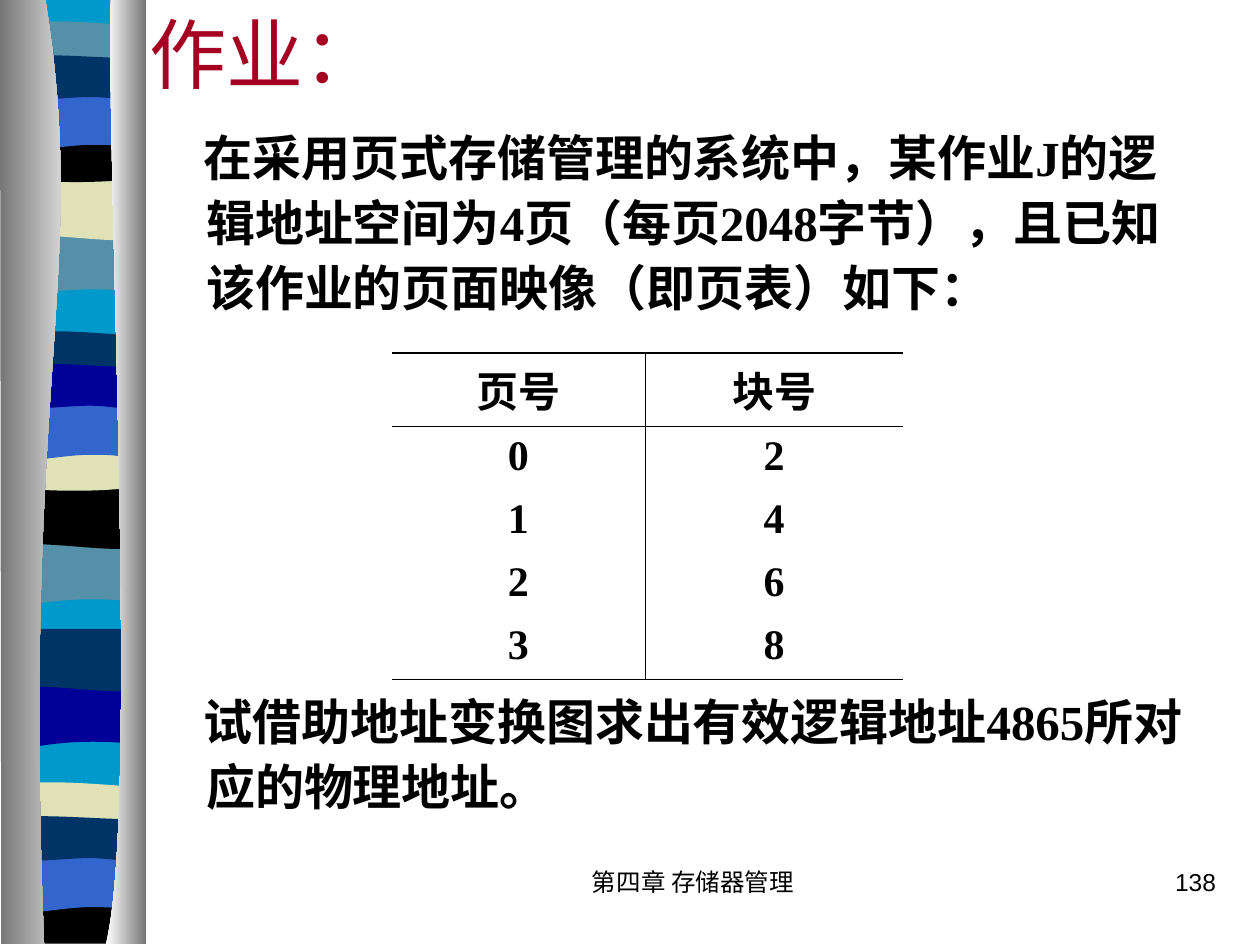
from lxml import etree
from pptx import Presentation
from pptx.dml.color import RGBColor
from pptx.enum.text import MSO_ANCHOR, MSO_AUTO_SIZE, PP_ALIGN
from pptx.oxml.ns import qn
from pptx.util import Inches, Pt

LEFT, CENTER, RIGHT = PP_ALIGN.LEFT, PP_ALIGN.CENTER, PP_ALIGN.RIGHT
TOP, MIDDLE = MSO_ANCHOR.TOP, MSO_ANCHOR.MIDDLE
NO_AUTOFIT = MSO_AUTO_SIZE.NONE

THEME = {
    "serif": "Times New Roman", "sans": "Arial",
    "title": 44, "body": 28, "table": 24, "footer": 14,
    "heading": "A50021", "text": "000000", "paper": "FFFFFF", "shade": "767676",
    "sky": "0099CC", "teal": "5490A8", "sand": "E1E1B7", "black": "000000",
    "blue": "3366CC", "navy": "003366", "indigo": "000099",
}

prs = Presentation()
prs.slide_width, prs.slide_height = Inches(10), Inches(7.5)
CELL = prs.slide_width / 120
FINE = prs.slide_width / 1000
slide = prs.slides.add_slide(prs.slide_layouts[1])
shapes = slide.shapes


def draw_outline(outline, left, top):
    points = [((left + step[i]) * FINE, (top + step[i + 1]) * FINE)
              for step in outline for i in range(0, len(step), 2)]
    builder = shapes.build_freeform(*points[0])
    builder.add_line_segments(points[1:], close=True)
    band = builder.convert_to_shape()
    segments = iter(list(band._element.iter(qn("a:lnTo"))))
    for step in outline[1:]:
        segment = next(segments)
        if len(step) == 6:
            segment.tag = qn("a:cubicBezTo")
            for follower in (next(segments), next(segments)):
                segment.append(follower[0])
                follower.getparent().remove(follower)
    band.shadow.inherit = False
    band.line.fill.background()
    return band


def style_text(paragraph, size, align, font="serif", color="text", bold=False):
    paragraph.alignment = align
    paragraph.space_before = Pt(0)
    for run in paragraph.runs:
        run.font.name = THEME[font]
        run.font.size = Pt(THEME[size])
        run.font.bold = bold
        run.font.color.rgb = RGBColor.from_string(THEME[color])


OUTLINES = {
    "backdrop": [(108, 0), (108, 747), (0, 747), (0, 0)],
    "slope": [(108, 0), (108, 47), (33, 39, 18, 55, 0, 47), (0, 0)],
    "dip": [(108, 0), (108, 47), (90, 55, 33, 42, 0, 47), (0, 0)],
    "lens": [(108, 5), (108, 29), (90, 33, 18, 33, 0, 29), (0, 5),
             (6, 0, 23, 1, 41, 1), (59, 1, 94, 4, 108, 5)],
    "cup": [(108, 0), (108, 32), (90, 38, 18, 38, 0, 32), (0, 0), (66, 5, 85, 0, 108, 0)],
    "arch": [(108, 0), (108, 47), (91, 41, 84, 41, 66, 41), (48, 41, 16, 47, 0, 47), (0, 0)],
    "ribbon": [(108, 5), (108, 36), (101, 41, 84, 36, 66, 36), (48, 36, 11, 41, 0, 36),
               (0, 5), (15, 0, 73, 5, 91, 5), (109, 5, 104, 5, 108, 5)],
    "foot": [(108, 0), (108, 37), (0, 37), (0, 0), (66, 5, 85, 0, 108, 0)],
}
BANDS = [
    ("backdrop", "sky", 6, 0),
    ("slope", "teal", 6, 185), ("dip", "sand", 6, 141), ("lens", "teal", 6, 16),
    ("cup", "black", 6, 108), ("arch", "blue", 6, 74), ("ribbon", "navy", 6, 41),
    ("slope", "teal", 5, 431), ("dip", "black", 5, 386), ("lens", "navy", 5, 262),
    ("cup", "sand", 5, 353), ("arch", "blue", 5, 320), ("ribbon", "indigo", 5, 286),
    ("slope", "indigo", 6, 544), ("dip", "navy", 6, 499), ("lens", "sand", 5, 620),
    ("foot", "black", 5, 712), ("arch", "blue", 5, 679), ("ribbon", "navy", 5, 645),
]
for outline, color, left, top in BANDS:
    band = draw_outline(OUTLINES[outline], left, top)
    band.fill.solid()
    band.fill.fore_color.rgb = RGBColor.from_string(THEME[color])

EDGES = [
    ([(36, 0), (71, 217, 17, 297, 35, 749), (1, 749), (0, 0)], "shade", "paper"),
    ([(88, 0), (84, 125, 111, 646, 84, 749), (116, 749), (116, 0)], "paper", "shade"),
]
for outline, start, end in EDGES:
    edge = draw_outline(outline, 0, 0)
    edge.fill.gradient()
    edge.fill.gradient_angle = 0
    for stop, color, position in zip(edge.fill.gradient_stops, (start, end), (0, 1)):
        stop.color.rgb = RGBColor.from_string(THEME[color])
        stop.position = position

heading, exercise = shapes.title, slide.placeholders[1]
for holder, box, anchor in [(heading, (13, 1, 102, 8), MIDDLE), (exercise, (14, 11, 102, 76), TOP)]:
    holder.left, holder.top, holder.width, holder.height = (round(n * CELL) for n in box)
    holder.text_frame.auto_size = NO_AUTOFIT
    holder.text_frame.word_wrap = True
    holder.text_frame.vertical_anchor = anchor
heading.text_frame.text = "作业："
style_text(heading.text_frame.paragraphs[0], "title", LEFT, color="heading")

exercise.fill.solid()
exercise.fill.fore_color.rgb = RGBColor.from_string(THEME["paper"])
exercise.text_frame.text = (
    "在采用页式存储管理的系统中，某作业J的逻辑地址空间为4页（每页2048字节），且已知该作业的页面映像（即页表）如下：\n"
    "试借助地址变换图求出有效逻辑地址4865所对应的物理地址。")
for paragraph, gap in zip(exercise.text_frame.paragraphs, (0, 211.5)):
    properties = paragraph._p.get_or_add_pPr()
    properties.set("marL", str(Inches(0.37)))
    properties.set("indent", str(Inches(-0.02)))
    etree.SubElement(properties, qn("a:buNone"))
    style_text(paragraph, "body", LEFT, bold=True)
    paragraph.line_spacing = 1.1
    paragraph.space_before = Pt(gap)

PAGE_TABLE = [("页号", "块号"), ("0", "2"), ("1", "4"), ("2", "6"), ("3", "8")]
last = len(PAGE_TABLE) - 1
page_map = shapes.add_table(len(PAGE_TABLE), 2, Inches(3.11), Inches(2.8),
                            Inches(4.06), Inches(2.51)).table
page_map.first_row = page_map.horz_banding = False
page_map.columns[0].width, page_map.columns[1].width = Inches(2.01), Inches(2.05)
for r, entries in enumerate(PAGE_TABLE):
    for c, entry in enumerate(entries):
        cell = page_map.cell(r, c)
        cell.text_frame.text = entry
        style_text(cell.text_frame.paragraphs[0], "table", CENTER, bold=True)
        borders = {
            "a:lnL": 0.45 if c == 1 else 0,
            "a:lnR": 0.45 if c == 0 else 0,
            "a:lnT": {0: 1.08, 1: 0.45}.get(r, 0),
            "a:lnB": {0: 0.45, last: 1.08}.get(r, 0),
        }
        for side, width in borders.items():
            border = etree.SubElement(cell._tc.get_or_add_tcPr(), qn(side), w=str(Pt(width)))
            if width:
                ink = etree.SubElement(border, qn("a:solidFill"))
                etree.SubElement(ink, qn("a:srgbClr"), val=THEME["text"])
            else:
                etree.SubElement(border, qn("a:noFill"))
        cell.fill.background()

FOOTERS = [("第四章 存储器管理", 47, 38, CENTER), ("138", 92, 25, RIGHT)]
for words, column, span, align in FOOTERS:
    footer = shapes.add_textbox(*(round(n * CELL) for n in (column, 82, span, 6)))
    footer.text_frame.word_wrap = True
    footer.text_frame.text = words
    style_text(footer.text_frame.paragraphs[0], "footer", align, font="sans")

prs.save("out.pptx")
